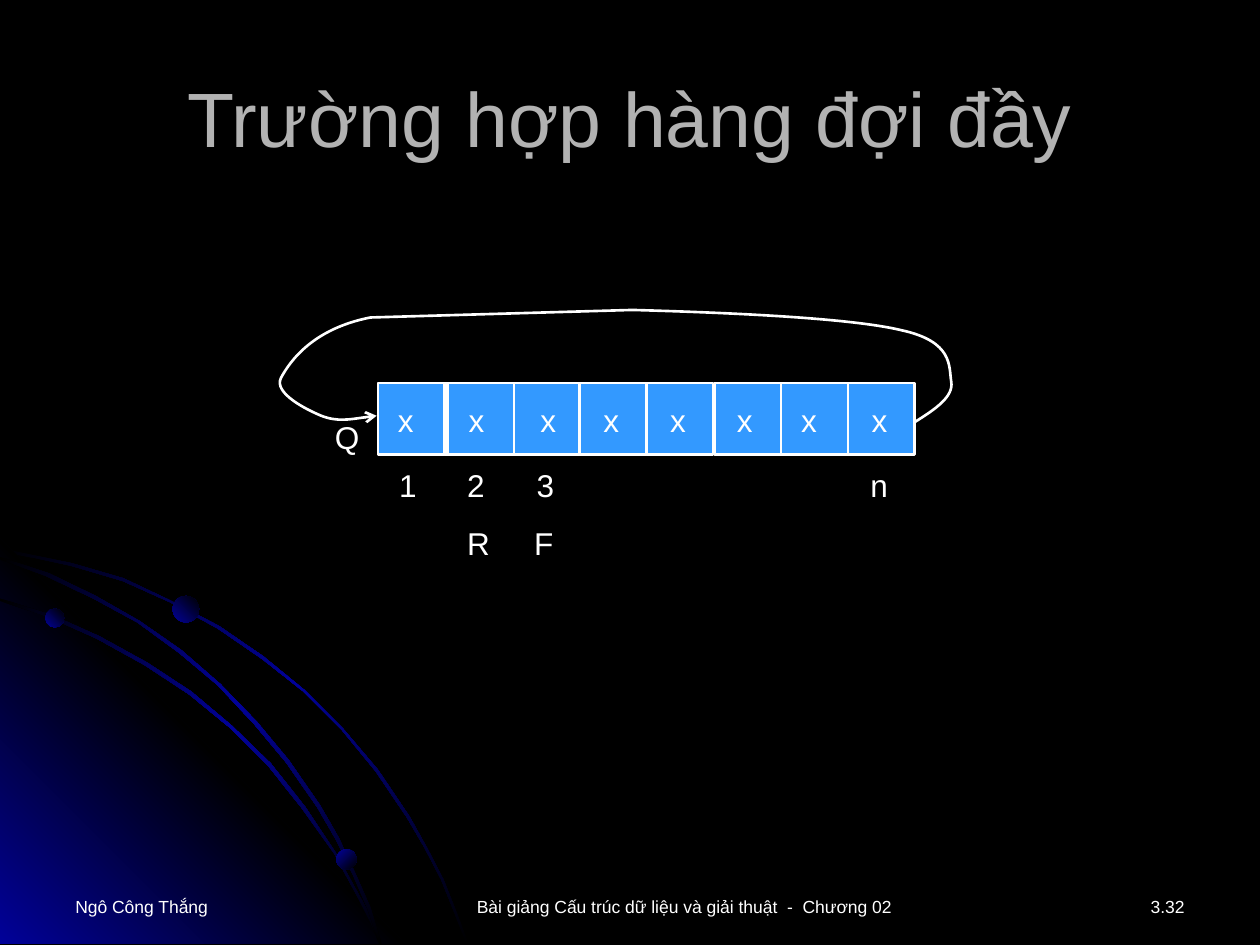
from lxml import etree
from pptx import Presentation
from pptx.dml.color import RGBColor
from pptx.enum.shapes import MSO_SHAPE
from pptx.enum.text import MSO_ANCHOR, PP_ALIGN
from pptx.oxml.ns import qn
from pptx.util import Pt

RECT, OVAL = MSO_SHAPE.RECTANGLE, MSO_SHAPE.OVAL
LEFT, MID, RIGHT = PP_ALIGN.LEFT, PP_ALIGN.CENTER, PP_ALIGN.RIGHT
TOP, MIDDLE = MSO_ANCHOR.TOP, MSO_ANCHOR.MIDDLE
PX = 9144  # 100 px to the inch

THEME = {
    "font": "Arial", "black": "000000", "glow": "010199", "cell": "3399FF",
    "white": "FFFFFF", "grey": "B2B2B2",
    "title": 44, "label": 18, "foot": 10, "line": 1.5,
}
BLACK, GLOW = THEME["black"], THEME["glow"]

deck = Presentation()
deck.slide_width, deck.slide_height = 1000 * PX, 750 * PX
slide = deck.slides.add_slide(deck.slide_layouts[6])
shapes = slide.shapes
slide.background.fill.solid()
slide.background.fill.fore_color.rgb = RGBColor.from_string(BLACK)


def shade(shape, stops, angle):
    """Evenly spaced gradient stops, no outline, no shadow."""
    shape.shadow.inherit = False
    shape.line.fill.background()
    shape.fill.gradient()
    shape.fill.gradient_angle = angle
    group = next(shape.element.iter(qn("a:gsLst")))
    group.clear()
    for i, color in enumerate(stops):
        stop = etree.SubElement(group, qn("a:gs"), pos=str(100000 * i // (len(stops) - 1)))
        etree.SubElement(stop, qn("a:srgbClr"), val=color)


def write(text, box, size="label", color="white", align=LEFT, anchor=TOP):
    frame = shapes.add_textbox(*[n * PX for n in box]).text_frame
    para = frame.paragraphs[0]
    para.text = text
    font = para.runs[0].font
    font.color.rgb = RGBColor.from_string(THEME[color])
    for part, values in (
        (frame, {"word_wrap": True, "vertical_anchor": anchor}),
        (para, {"alignment": align}),
        (font, {"name": THEME["font"], "size": Pt(THEME[size])}),
    ):
        for name, value in values.items():
            setattr(part, name, value)


# Glowing corner and arcs, back to front
outer = [
    (57, 447), (28, 441), (0, 435), (0, 438), (28, 443), (56, 449), (97, 461),
    (135, 478), (173, 499), (208, 523), (241, 549), (271, 579), (298, 612),
    (323, 649), (337, 673), (350, 698), (360, 723), (370, 749), (372, 749),
    (362, 723), (352, 698), (339, 673), (325, 648), (300, 611), (272, 578),
    (242, 548), (209, 521), (174, 497), (136, 477), (98, 459)]
corner = [(322, 749), (0, 749), (0, 427)]
inner = [
    (285, 714), (294, 732), (301, 749), (303, 749), (296, 730), (286, 712),
    (266, 676), (242, 640), (215, 606), (184, 576), (152, 549), (117, 526),
    (79, 505), (41, 488), (0, 475), (0, 477), (39, 490), (77, 507), (115, 528),
    (150, 551), (183, 578), (213, 608), (240, 642), (265, 677)]
middle = [
    (0, 442), (0, 444), (36, 457), (74, 475), (109, 494), (142, 518),
    (173, 544), (202, 575), (227, 605), (252, 641), (267, 667), (280, 694),
    (292, 722), (301, 749), (303, 749), (294, 720), (282, 693), (269, 665),
    (254, 639), (229, 603), (204, 573), (175, 543), (144, 516), (111, 493),
    (76, 473), (39, 455)]
arc = (BLACK, GLOW, BLACK)
for points, stops, angle in (
    (outer, arc, 315),
    (corner, (GLOW, BLACK, GLOW), 45),
    (inner, arc, 315),
    (middle, arc, 315),
):
    pen = shapes.build_freeform(*points[0], scale=PX)
    pen.add_line_segments(points[1:], close=True)
    shade(pen.convert_to_shape(), stops, angle)

# Beads on the arcs
for x, y, size, angle in ((36, 483, 15, 45), (267, 674, 16, 315), (137, 473, 21, 45)):
    bead = shapes.add_shape(OVAL, x * PX, y * PX, size * PX, size * PX)
    shade(bead, (GLOW, BLACK), angle)

# Title and footer
write("Trường hợp hàng đợi đầy", (50, 30, 900, 125), "title", "grey", MID, MIDDLE)
for text, x, width, align in (
    ("Ngô Công Thắng", 50, 233, LEFT),
    ("Bài giảng Cấu trúc dữ liệu và giải thuật  -  Chương 02", 296, 494, MID),
    ("3.32", 804, 146, RIGHT),
):
    write(text, (x, 706, width, 30), "foot", align=align)

# Queue cells, with the second one redrawn slightly to the right
cells = []
for x in [300 + round(i * 160 / 3) for i in range(8)] + [355]:
    cell = shapes.add_shape(RECT, x * PX, 304 * PX, 53 * PX, 57 * PX)
    cell.fill.solid()
    cell.fill.fore_color.rgb = RGBColor.from_string(THEME["cell"])
    cells.append(cell)

# Loop from the last cell back to the first: curves, with one straight run
pen = shapes.build_freeform(726, 335, scale=PX)
pen.add_line_segments([
    (742, 325), (757, 315), (755, 303),
    (753, 291), (757, 271), (715, 262),
    (673, 252), (572, 248), (502, 246),
    (294, 252),
    (248, 261), (230, 287), (223, 300),
    (217, 312), (243, 325), (255, 330),
    (268, 335), (283, 332), (299, 330)], close=False)
loop = pen.convert_to_shape()
loop.fill.background()
steps = list(loop.element.iter(qn("a:lnTo")))
for start in (0, 3, 6, 10, 13, 16):
    curve = etree.Element(qn("a:cubicBezTo"))
    steps[start].addprevious(curve)
    for step in steps[start:start + 3]:
        curve.append(step[0])
        step.getparent().remove(step)

for shape in cells + [loop]:
    shape.shadow.inherit = False
    shape.line.color.rgb = RGBColor.from_string(THEME["white"])
    shape.line.width = Pt(THEME["line"])
etree.SubElement(loop.element.spPr.find(qn("a:ln")), qn("a:tailEnd"), type="arrow")

# Cell contents, indexes and pointers
marks = [("x", x, 313) for x in (306, 362, 419, 469, 522, 575, 626, 682)]
marks += [("1", 307, 365), ("2", 361, 365), ("3", 416, 365), ("n", 681, 365)]
marks += [("Q", 256, 327), ("R", 361, 411), ("F", 414, 411)]
for text, x, y in marks:
    write(text, (x, y, 38, 40))

deck.save("out.pptx")
